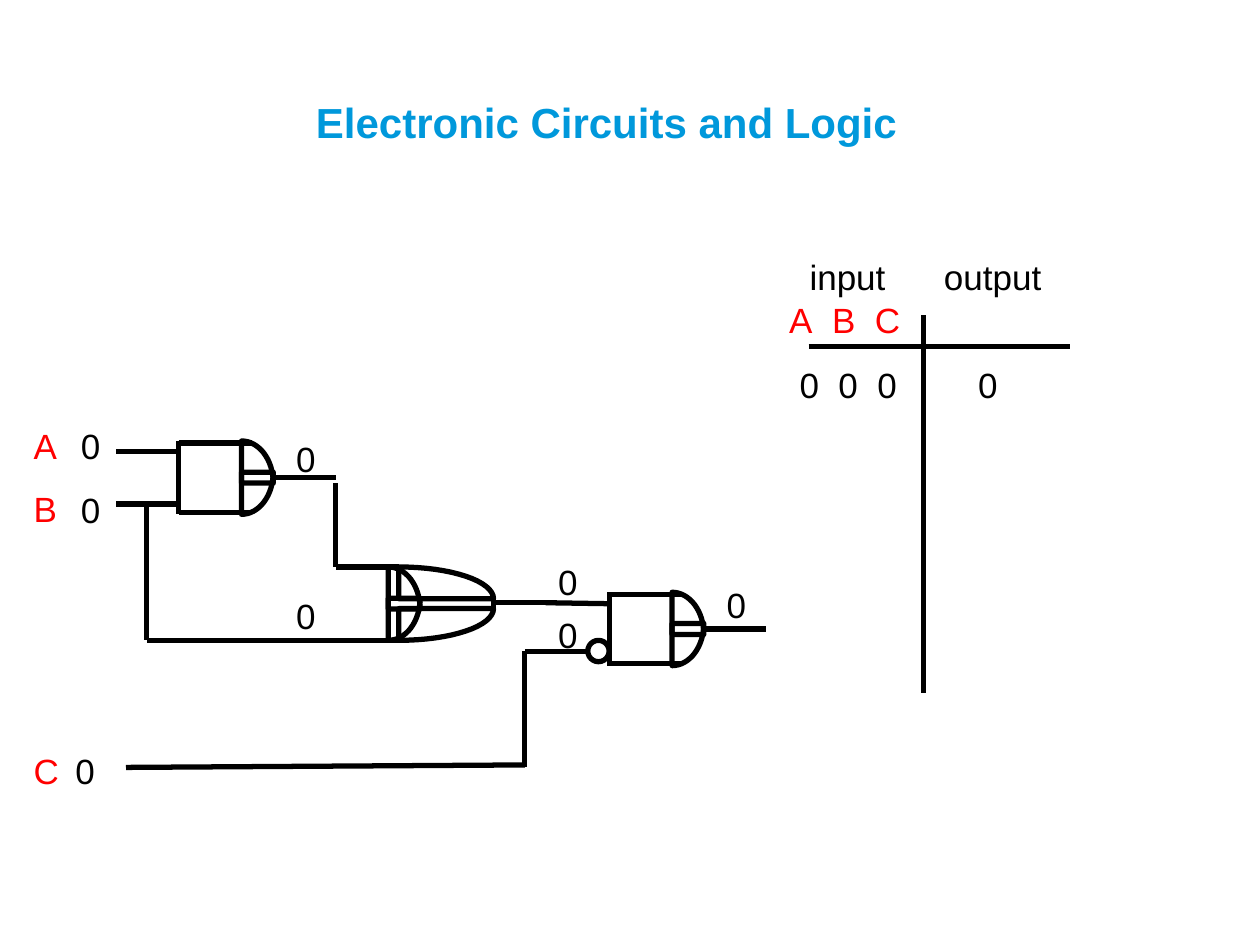
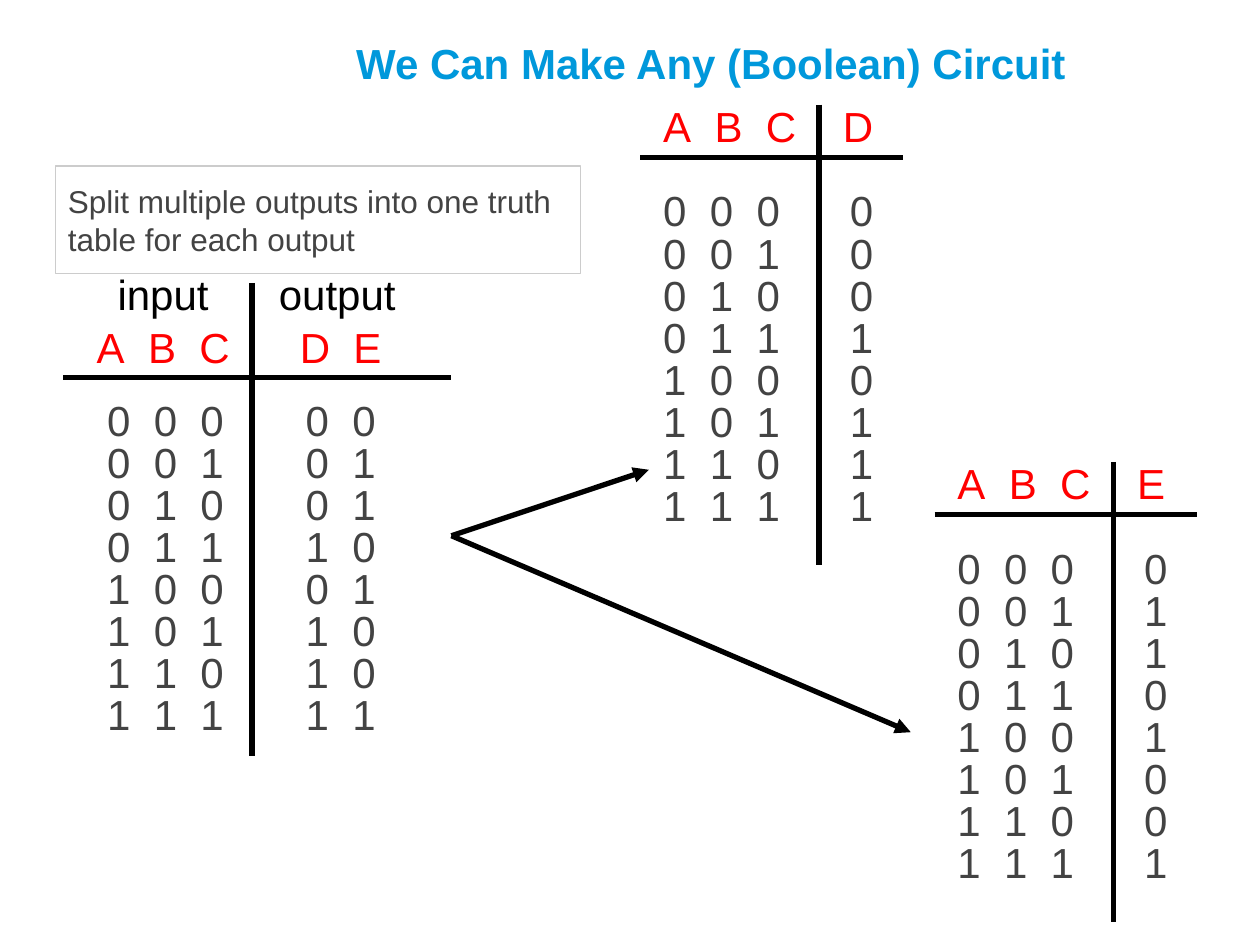
from dataclasses import dataclass
from itertools import product
from math import cos, pi, sin
from typing import Any

from lxml.etree import SubElement
from pptx import Presentation
from pptx.dml.color import RGBColor
from pptx.enum.shapes import MSO_CONNECTOR as Connector, MSO_SHAPE as Shape
from pptx.enum.text import MSO_ANCHOR as Anchor, MSO_AUTO_SIZE as AutoSize, PP_ALIGN as Align
from pptx.oxml.ns import qn
from pptx.util import Cm, Pt

# Shared look
BLUE = RGBColor(0x00, 0x98, 0xDB)
RED = RGBColor(0xFF, 0x00, 0x00)
BLACK = RGBColor(0x00, 0x00, 0x00)
GREY = RGBColor(0x43, 0x43, 0x43)
PALE = RGBColor(0xCC, 0xCC, 0xCC)
FONT = "Arial"
WIRE = Pt(3)
ARC_STEPS = 16

# Tab stops in cm for text of 1 pt; multiplied by the text size
HEADING_TABS = [0.1355]
LETTER_TABS = [0.0432, 0.0863]
DIGIT_TABS = [0.0392, 0.0784]


def set_all(target, formats):
    for name, value in formats.items():
        setattr(target, name, value)


def write(frame, lines, size, color, bold=False, tabs=(), gap=0, anchor=Anchor.TOP):
    """Fill a text frame with one paragraph per line."""
    set_all(frame, {
        "word_wrap": True, "auto_size": AutoSize.NONE, "vertical_anchor": anchor,
        "margin_left": Cm(0.25), "margin_right": Cm(0.25),
        "margin_top": Cm(0.13), "margin_bottom": Cm(0.13),
    })
    for index, line in enumerate(lines):
        para = frame.add_paragraph() if index else frame.paragraphs[0]
        para.alignment = Align.LEFT
        if index and gap:
            para.space_before = Pt(gap)
        if tabs:
            stops = SubElement(para._p.get_or_add_pPr(), qn("a:tabLst"))
            for stop in tabs:
                SubElement(stops, qn("a:tab"), pos=str(Cm(stop * size)), algn="l")
        span = para.add_run()
        span.text = line
        set_all(span.font, {"name": FONT, "size": Pt(size), "bold": bold})
        span.font.color.rgb = color


@dataclass
class Region:
    """Part of a page; all positions are in cm from its top left corner."""
    page: Any
    left: float = 0
    top: float = 0

    def inner(self, x, y):
        return Region(self.page, self.left + x, self.top + y)

    def spot(self, x, y):
        return Cm(self.left + x), Cm(self.top + y)

    def line(self, x1, y1, x2, y2, arrow=False):
        wire = self.page.shapes.add_connector(
            Connector.STRAIGHT, *self.spot(x1, y1), *self.spot(x2, y2))
        wire.line.width = WIRE
        wire.line.color.rgb = BLACK
        if arrow:
            SubElement(wire.line._get_or_add_ln(), qn("a:tailEnd"), type="triangle")
        SubElement(wire._element.spPr, qn("a:effectLst"))

    def text(self, x, y, width, height, lines, size, color, **options):
        box = self.page.shapes.add_textbox(*self.spot(x, y), Cm(width), Cm(height))
        write(box.text_frame, lines, size, color, **options)

    def outline(self, shape, color=BLACK, width=WIRE):
        shape.shadow.inherit = False
        shape.fill.background()
        shape.line.width = width
        shape.line.color.rgb = color

    def quarter(self, x, y, width, height):
        """Closed quarter ellipse around (x, y); a negative height opens upwards."""
        angles = [step * pi / 2 / ARC_STEPS for step in range(ARC_STEPS + 1)]
        builder = self.page.shapes.build_freeform(*self.spot(x, y))
        builder.add_line_segments(
            [self.spot(x + width * sin(a), y + height * cos(a)) for a in angles], close=True)
        self.outline(builder.convert_to_shape())

    def dome(self, x, width, height, total=1.48):
        """Two quarters that overlap or part around the middle of a gate."""
        self.quarter(x, height, width, -height)
        self.quarter(x, total - height, width, height)


def add_page(deck, title, left, top, width):
    page = deck.slides.add_slide(deck.slide_layouts[5])
    holder = page.shapes.title
    set_all(holder, {"left": Cm(left), "top": Cm(top), "width": Cm(width), "height": Cm(1.32)})
    write(holder.text_frame, [title], 24, BLUE, bold=True, anchor=Anchor.BOTTOM)
    return page


# Gates
def and_gate(gate):
    for y in (0.04, 1.44):
        gate.line(0, y, 1.48, y)
    gate.line(0, 0, 0, 1.48)
    gate.dome(1.27, 0.64, 0.85)


def or_gate(gate):
    gate.dome(0, 0.64, 0.85)
    gate.dome(0.21, 1.91, 0.64)
    gate.line(2.12, 0.64, 2.12, 0.85)


def circuit(area):
    and_gate(area.inner(3.6, 0.89))
    or_gate(area.inner(7.83, 3.43))
    and_gate(area.inner(12.28, 3.94))
    # Inverter on the last gate
    area.outline(area.page.shapes.add_shape(
        Shape.OVAL, *area.spot(11.85, 4.91), Cm(0.43), Cm(0.43)))

    wires = [
        (2.34, 1.1, 3.6, 1.1), (2.34, 2.16, 3.6, 2.16),          # A and B
        (5.5, 1.63, 6.77, 1.63), (6.77, 1.74, 6.77, 3.43),       # first gate to second
        (6.77, 3.43, 8.04, 3.43),
        (2.96, 2.16, 2.96, 4.91), (2.96, 4.91, 6.99, 4.91),      # B to second gate
        (6.77, 4.91, 8.04, 4.91),
        (9.95, 4.14, 11.22, 4.14), (11, 4.15, 12.28, 4.17),      # second gate to third
        (2.54, 7.47, 10.58, 7.42), (10.58, 7.47, 10.58, 5.12),   # C to inverter
        (10.58, 5.13, 11.85, 5.13),
        (14.18, 4.68, 15.45, 4.68),                              # result
    ]
    for wire in wires:
        area.line(*wire)

    # Signal values
    for x, y in [(5.72, 0.68), (5.72, 3.85), (1.27, 6.98),
                 (11, 3.17), (11, 4.24), (14.4, 3.64)]:
        area.text(x, y, 1.32, 1.32, ["0"], 20, BLACK)
    area.text(1.38, 0.43, 1.32, 2.64, ["0", "0"], 20, BLACK, gap=12.5)
    for name, y in [("A", 0.43), ("B", 1.7), ("C", 6.98)]:
        area.text(0.43, y, 1.47, 1.12, [name], 20, RED)


# Truth tables
def cross(area, rule, divider):
    """Rule is left, right, y; divider is x, top, bottom."""
    start, end, y = rule
    x, top, bottom = divider
    area.line(start, y, end, y)
    area.line(x, top, x, bottom)


def table_rows(area, width, height, outputs, tabs):
    for index, inputs in enumerate(product((0, 1), repeat=3)):
        cells = [*inputs, *(output(inputs) for output in outputs)]
        area.text(0, index * 0.847, width, height, ["\t".join(map(str, cells))], 24, GREY,
                  tabs=DIGIT_TABS + tabs)


def majority(inputs):
    return int(sum(inputs) > 1)


def parity(inputs):
    return sum(inputs) % 2


def first_row_table(area):
    area.text(0.41, 0, 6.35, 1.12, ["input\toutput"], 20, BLACK, tabs=HEADING_TABS)
    area.text(0, 0.86, 6.35, 1.12, ["A\tB\tC"], 20, RED, tabs=LETTER_TABS)
    cross(area, (0.64, 5.92, 1.96), (2.96, 1.32, 8.94))
    area.text(0.21, 2.16, 2.64, 1.32, ["0\t0\t0"], 20, BLACK, tabs=DIGIT_TABS)
    area.text(3.81, 2.16, 1.32, 1.32, ["0"], 20, BLACK)


def double_table(area):
    area.text(0.43, 1.07, 6.35, 1.27, ["A\tB\tC\tD\tE"], 24, RED,
              tabs=LETTER_TABS + [0.1706, 0.2157])
    area.text(0.85, 0, 6.35, 1.27, ["input\toutput"], 24, BLACK, tabs=HEADING_TABS)
    cross(area, (0, 7.83, 2.33), (3.81, 0.42, 9.95))
    table_rows(area.inner(0.64, 2.54), 6.15, 1.27, [majority, parity], [0.1667, 0.2059])


def single_table(area, name, output):
    table_rows(area.inner(0.21, 1.7), 5.29, 1.32, [output], [0.1568])
    area.text(0.21, 0, 5.29, 1.32, [f"A\tB\tC\t{name}"], 24, RED,
              tabs=LETTER_TABS + [0.151])
    cross(area, (0, 5.3, 1.27), (3.6, 0.21, 9.48))


def note(area, width, height, words):
    box = area.page.shapes.add_shape(Shape.RECTANGLE, *area.spot(0, 0), Cm(width), Cm(height))
    area.outline(box, PALE, Pt(0.75))
    write(box.text_frame, [words], 18, GREY, anchor=Anchor.MIDDLE)


# Slides
def circuit_slide(deck):
    page = add_page(deck, "Electronic Circuits and Logic", 6.12, 1.78, 14.94)
    circuit(Region(page, 0, 8))
    first_row_table(Region(page, 15.66, 5.03))


def split_slide(deck):
    page = add_page(deck, "We Can Make Any (Boolean) Circuit", 6.93, 0.58, 16.28)
    double_table(Region(page, 1.27, 5.28))
    single_table(Region(page, 12.91, 1.9), "D", majority)
    single_table(Region(page, 18.84, 9.1), "E", parity)
    # Arrows from the double table to the single ones
    fork = Region(page, 9.1, 10.8)
    for x, y in [(3.98, -1.33), (9.26, 3.96)]:
        fork.line(0, 0, x, y, arrow=True)
    note(Region(page, 1.12, 3.35), 10.59, 2.16,
         "Split multiple outputs into one truth table for each output")


def main():
    deck = Presentation()
    set_all(deck, {"slide_width": Cm(25.4), "slide_height": Cm(19.05)})
    circuit_slide(deck)
    split_slide(deck)
    deck.save("out.pptx")


if __name__ == "__main__":
    main()
